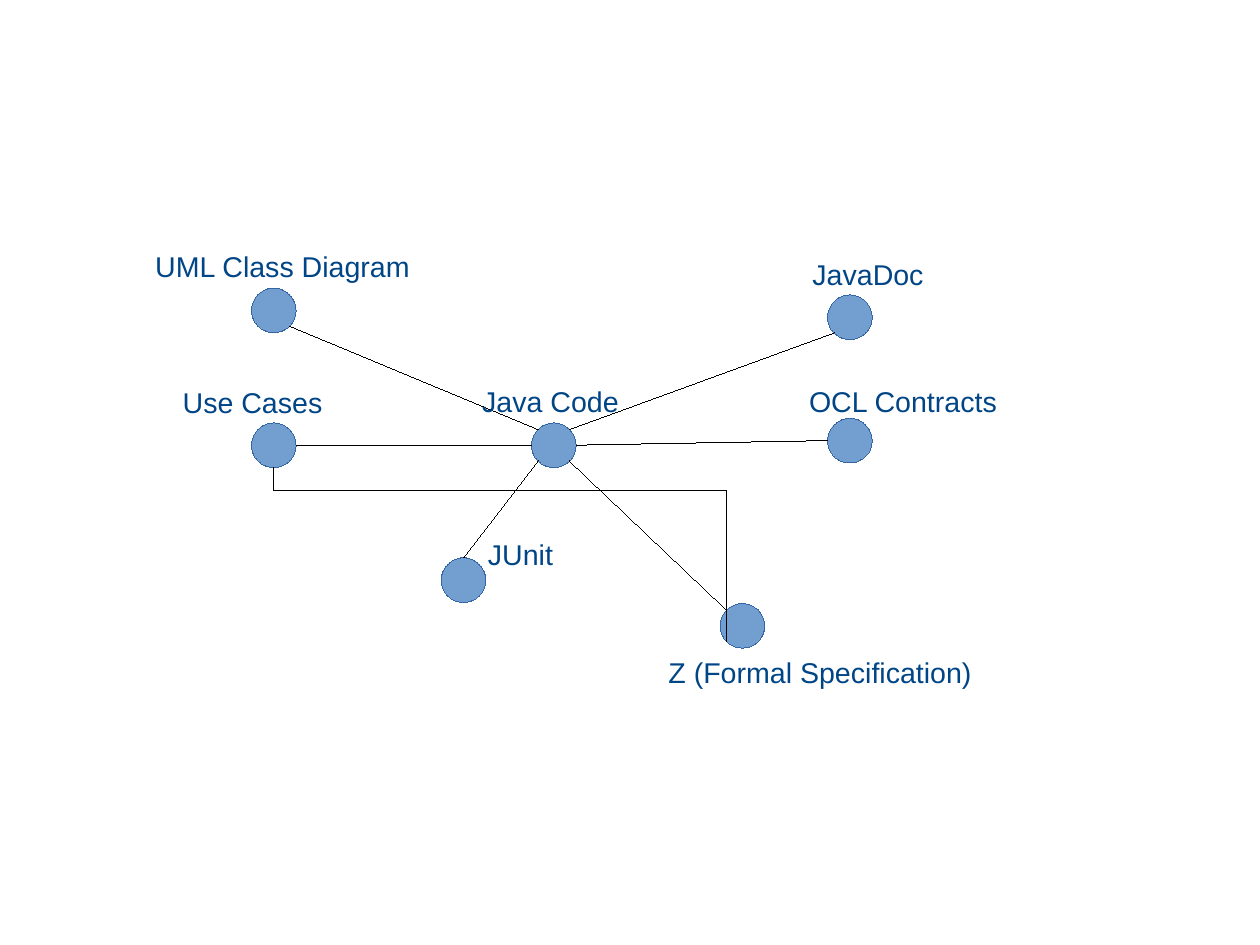
import math

import pptx
import pptx.dml.color
import pptx.enum.shapes
import pptx.enum.text
import pptx.oxml
import pptx.oxml.ns
import pptx.util
from pptx.util import Inches

COLORS = {"node": "729FCF", "node_edge": "3465A4", "link": "000000", "label": "004586"}
CM_PER_INCH = 2.54
DIAMETER = 0.39
ELBOW_DROP = 0.2
LABEL_HEIGHT = 0.38

# Artifact: left and top of its circle; left, top and width of its label
ARTIFACTS = {
    "Java Code": ((4.65, 3.7), (4.12, 3.31, 1.41)),
    "Z (Formal Specification)": ((6.3, 5.28), (5.75, 5.68, 2.87)),
    "OCL Contracts": ((7.24, 3.66), (6.98, 3.31, 1.86)),
    "JavaDoc": ((7.24, 2.58), (7.01, 2.2, 1.2)),
    "UML Class Diagram": ((2.2, 2.52), (1.26, 2.13, 2.44)),
    "Use Cases": ((2.2, 3.7), (1.5, 3.32, 1.44)),
    "JUnit": ((3.86, 4.88), (4.17, 4.65, 0.79)),
}

# Compass angles in degrees, clockwise from the right
ANGLES = {"E": 0, "SE": 45, "S": 90, "SW": 135, "W": 180, "NW": 225, "N": 270, "NE": 315}

# Side of the Java Code circle, linked artifact, side of its circle
CODE_LINKS = [
    ("NE", "JavaDoc", "SW"),
    ("E", "OCL Contracts", "W"),
    ("W", "Use Cases", "E"),
    ("NW", "UML Class Diagram", "SE"),
    ("SE", "Z (Formal Specification)", "NW"),
    ("SW", "JUnit", "N"),
]

FRAME_FORMAT = {
    "margin_left": Inches(0.1),
    "margin_right": Inches(0.1),
    "margin_top": Inches(0.05),
    "margin_bottom": Inches(0.05),
    "word_wrap": False,
    "auto_size": pptx.enum.text.MSO_AUTO_SIZE.SHAPE_TO_FIT_TEXT,
}
FONT_FORMAT = {"name": "Arial", "size": pptx.util.Pt(18)}


def rgb(key):
    return pptx.dml.color.RGBColor.from_string(COLORS[key])


def apply_format(target, values):
    for attribute, value in values.items():
        setattr(target, attribute, value)


def rim_point(artifact, side):
    (left, top), _ = ARTIFACTS[artifact]
    angle = math.radians(ANGLES[side])
    radius = DIAMETER / 2
    return (left + radius * (1 + math.cos(angle)),
            top + radius * (1 + math.sin(angle)))


def style_hairline(shape, color):
    shape.line.color.rgb = rgb(color)
    # A width of 0 has to be written out, as line.width omits it
    shape._element.spPr.find(pptx.oxml.ns.qn("a:ln")).set("w", "0")


def add_node(slide, left, top):
    node = slide.shapes.add_shape(
        pptx.enum.shapes.MSO_SHAPE.OVAL,
        Inches(left), Inches(top), Inches(DIAMETER), Inches(DIAMETER))
    node.shadow.inherit = False
    node.fill.solid()
    node.fill.fore_color.rgb = rgb("node")
    style_hairline(node, "node_edge")


def add_link(slide, kind, start, end):
    link = slide.shapes.add_connector(kind, *(Inches(v) for v in (*start, *end)))
    style_hairline(link, "link")
    properties = link._element.spPr
    properties.append(pptx.oxml.parse_xml(
        "<a:effectLst %s/>" % pptx.oxml.ns.nsdecls("a")))
    return properties


def add_elbow_link(slide, start, end):
    """Draw an elbow that leaves downwards: a sideways elbow, turned by 270 degrees."""
    (x1, y1), (x2, y2) = start, end
    middle_x, middle_y = (x1 + x2) / 2, (y1 + y2) / 2
    half_width, half_height = (y2 - y1) / 2, (x2 - x1) / 2
    properties = add_link(
        slide, pptx.enum.shapes.MSO_CONNECTOR.ELBOW,
        (middle_x + half_width, middle_y - half_height),
        (middle_x - half_width, middle_y + half_height))
    properties.find(pptx.oxml.ns.qn("a:xfrm")).set("rot", str(270 * 60000))
    geometry = properties.find(pptx.oxml.ns.qn("a:prstGeom"))
    for old_adjustments in geometry.findall(pptx.oxml.ns.qn("a:avLst")):
        geometry.remove(old_adjustments)
    bend = round(100000 * ELBOW_DROP / (y2 - y1))
    geometry.append(pptx.oxml.parse_xml(
        '<a:avLst %s><a:gd name="adj1" fmla="val %d"/></a:avLst>'
        % (pptx.oxml.ns.nsdecls("a"), bend)))


def add_label(slide, text, left, top, width):
    label = slide.shapes.add_textbox(
        Inches(left), Inches(top), Inches(width), Inches(LABEL_HEIGHT))
    apply_format(label.text_frame, FRAME_FORMAT)
    run = label.text_frame.paragraphs[0].add_run()
    run.text = text
    apply_format(run.font, FONT_FORMAT)
    run.font.color.rgb = rgb("label")


def main():
    presentation = pptx.Presentation()
    presentation.slide_width = Inches(28 / CM_PER_INCH)
    presentation.slide_height = Inches(21 / CM_PER_INCH)
    slide = presentation.slides.add_slide(presentation.slide_layouts[6])

    # Artifact circles
    for position, _ in ARTIFACTS.values():
        add_node(slide, *position)

    # Links from the code, and from the use cases to the specification
    for code_side, artifact, side in CODE_LINKS:
        add_link(slide, pptx.enum.shapes.MSO_CONNECTOR.STRAIGHT,
                 rim_point("Java Code", code_side), rim_point(artifact, side))
    add_elbow_link(slide, rim_point("Use Cases", "S"),
                   rim_point("Z (Formal Specification)", "SW"))

    # Artifact labels
    for artifact, (_, label_box) in ARTIFACTS.items():
        add_label(slide, artifact, *label_box)

    presentation.save("out.pptx")


if __name__ == "__main__":
    main()
